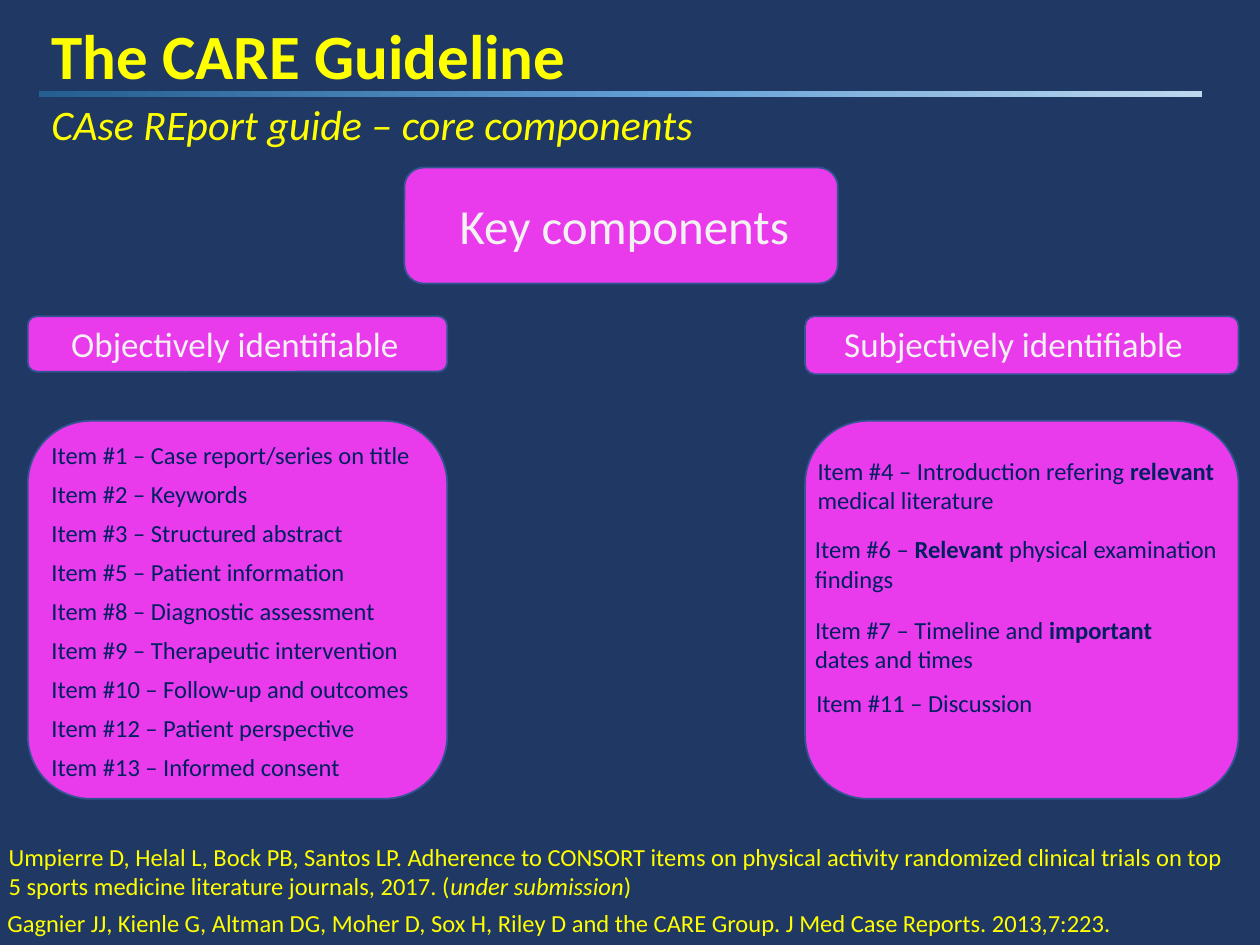
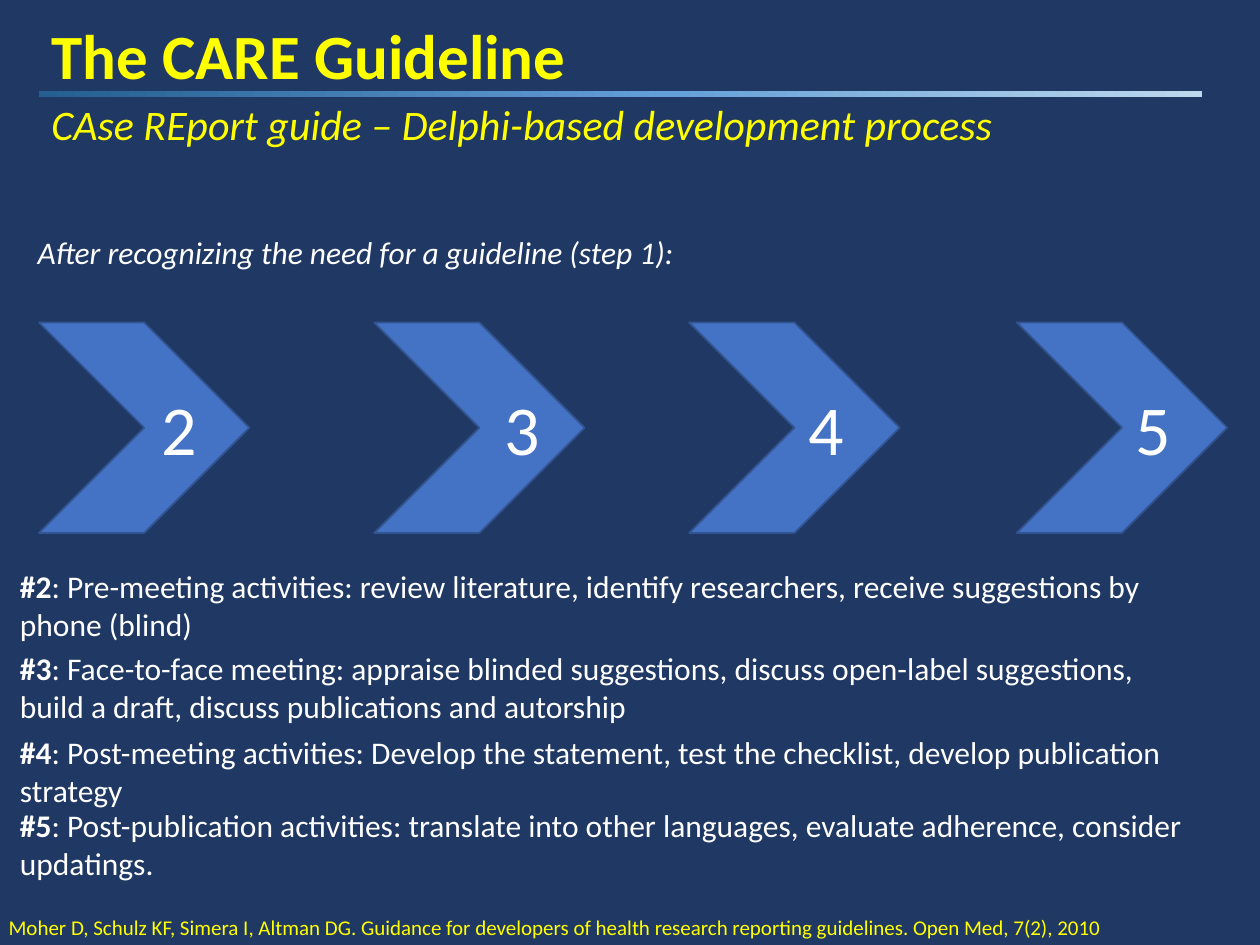
"""Build two slides on the CARE guideline for case reports."""
import copy
import dataclasses

import pptx
import pptx.dml.color
import pptx.enum.shapes
import pptx.enum.text
import pptx.oxml.ns
import pptx.util

Inches = pptx.util.Inches
Align = pptx.enum.text.PP_ALIGN
Anchor = pptx.enum.text.MSO_ANCHOR
Shapes = pptx.enum.shapes.MSO_SHAPE


@dataclasses.dataclass(frozen=True)
class Theme:
    font: str = "Calibri"
    background: str = "203864"
    heading: str = "FFFF00"
    light: str = "FFFFFF"
    label: str = "F2F2F2"
    item: str = "002060"
    panel: str = "E93AEC"
    chevron: str = "4472C4"
    outline: str = "325491"
    bar: tuple = ((0, "255E91"), (0.54, "63A0D7"), (1, "BDD7EE"))
    title_size: int = 36
    subtitle_size: int = 24
    key_size: int = 28
    label_size: int = 20
    body_size: int = 18
    small_size: int = 14
    source_size: int = 12
    number_size: int = 40


class Deck:
    def __init__(self, theme):
        self.theme = theme
        self.presentation = pptx.Presentation()
        self.presentation.slide_width = Inches(10)
        self.presentation.slide_height = Inches(7.5)
        self.slide = None

    @staticmethod
    def color(value):
        return pptx.dml.color.RGBColor.from_string(value)

    def add_runs(self, frame, runs, size, color, align=Align.LEFT):
        frame.word_wrap = True
        paragraph = frame.paragraphs[0]
        paragraph.alignment = align
        for text, emphasis in runs:
            run = paragraph.add_run()
            run.text = text
            run.font.name = self.theme.font
            run.font.size = pptx.util.Pt(size)
            run.font.color.rgb = self.color(color)
            run.font.bold = emphasis == "bold"
            run.font.italic = emphasis == "italic"

    def start_slide(self, title, subtitle):
        theme = self.theme
        layout = self.presentation.slide_layouts[5]
        self.slide = self.presentation.slides.add_slide(layout)
        fill = self.slide.background.fill
        fill.solid()
        fill.fore_color.rgb = self.color(theme.background)
        self.bar()
        heading = self.slide.shapes.title
        heading.left, heading.top = Inches(0.31), Inches(0.08)
        heading.width, heading.height = Inches(9.23), Inches(0.71)
        frame = heading.text_frame
        frame.auto_size = pptx.enum.text.MSO_AUTO_SIZE.NONE
        frame.vertical_anchor = Anchor.TOP
        self.add_runs(frame, [(title, "bold")], theme.title_size, theme.heading)
        self.text([(subtitle, "italic")], 0.31, 0.73, 9.23, 0.5,
                  theme.subtitle_size, theme.heading)

    def bar(self):
        shape = self.slide.shapes.add_shape(
            Shapes.RECTANGLE, Inches(0.31), Inches(0.72), Inches(9.23), Inches(0.05))
        shape.shadow.inherit = False
        shape.line.fill.background()
        shape.fill.gradient()
        shape.fill.gradient_angle = 0
        stops = shape.element.find(".//" + pptx.oxml.ns.qn("a:gsLst"))
        stops.append(copy.deepcopy(stops[0]))
        for stop, (position, color) in zip(shape.fill.gradient_stops, self.theme.bar):
            stop.position = position
            stop.color.rgb = self.color(color)

    def text(self, runs, left, top, width, height, size, color, align=Align.LEFT):
        box = self.slide.shapes.add_textbox(
            Inches(left), Inches(top), Inches(width), Inches(height))
        self.add_runs(box.text_frame, runs, size, color, align)

    def shape(self, kind, fill, left, top, width, height):
        shape = self.slide.shapes.add_shape(
            kind, Inches(left), Inches(top), Inches(width), Inches(height))
        shape.shadow.inherit = False
        shape.fill.solid()
        shape.fill.fore_color.rgb = self.color(fill)
        shape.line.color.rgb = self.color(self.theme.outline)
        shape.line.width = pptx.util.Pt(1)
        return shape

    def panel(self, left, top, width, height):
        self.shape(Shapes.ROUNDED_RECTANGLE, self.theme.panel, left, top, width, height)

    def label(self, text, left, top, width, height, size):
        self.text([(text, "")], left, top, width, height, size, self.theme.label,
                  Align.CENTER)

    def item(self, runs, left, top, width, height):
        self.text(runs, left, top, width, height, self.theme.small_size, self.theme.item)

    def chevron(self, number, left, shift):
        shape = self.shape(Shapes.CHEVRON, self.theme.chevron, left, 2.56, 1.67, 1.67)
        frame = shape.text_frame
        frame.vertical_anchor = Anchor.MIDDLE
        frame.margin_left = Inches(0.1 + 2 * shift)
        self.add_runs(frame, [(number, "")], self.theme.number_size, self.theme.light,
                      Align.CENTER)

    def source(self, runs, left, top, width, height, size):
        self.text(runs, left, top, width, height, size, self.theme.heading)


def build_components(deck):
    theme = deck.theme
    deck.start_slide("The CARE Guideline", "CAse REport guide – core components")
    deck.panel(3.21, 1.33, 3.44, 0.92)
    deck.label("Key components", 3.43, 1.5, 3.05, 0.57, theme.key_size)
    columns = [
        ("Objectively identifiable", 0.22, 3.33, 0.44, 0.3),
        ("Subjectively identifiable", 6.39, 3.44, 0.46, 6.48),
    ]
    for label, left, width, height, label_left in columns:
        deck.panel(left, 2.51, width, height)
        deck.label(label, label_left, 2.51, 3.13, 0.44, theme.label_size)
        deck.panel(left, 3.34, width, 3)

    objective_items = [
        "Item #1 – Case report/series on title",
        "Item #2 – Keywords",
        "Item #3 – Structured abstract",
        "Item #5 – Patient information",
        "Item #8 – Diagnostic assessment",
        "Item #9 – Therapeutic intervention",
        "Item #10 – Follow-up and outcomes",
        "Item #12 – Patient perspective",
        "Item #13 – Informed consent",
    ]
    for row, text in enumerate(objective_items):
        deck.item([(text, "")], 0.31, 3.44 + 0.31 * row, 3.2, 0.34)

    subjective_items = [
        (6.39, 3.57, 3.6, [("Item #4 – Introduction refering ", ""),
                           ("relevant", "bold"), (" medical literature", "")]),
        (6.37, 4.19, 3.6, [("Item #6 – ", ""), ("Relevant ", "bold"),
                           ("physical examination findings", "")]),
        (6.37, 4.83, 3.15, [("Item #7 – Timeline and ", ""),
                            ("important", "bold"), (" dates and times", "")]),
        (6.38, 5.41, 3.15, [("Item #11 – Discussion", "")]),
    ]
    for left, top, width, runs in subjective_items:
        deck.item(runs, left, top, width, 0.57)

    deck.source([
        ("Umpierre D, Helal L, Bock PB, Santos LP. Adherence to CONSORT items on "
         "physical activity randomized clinical trials on top 5 sports medicine "
         "literature journals, 2017. (", ""),
        ("under submission", "italic"), (")", "")],
        -0.03, 6.63, 9.88, 0.57, theme.small_size)
    deck.source([
        ("Gagnier JJ, Kienle G, Altman DG, Moher D, Sox H, Riley D and the CARE Group. "
         "J Med Case Reports. 2013,7:223.", "")],
        -0.04, 7.16, 9.88, 0.34, theme.small_size)


def build_process(deck):
    theme = deck.theme
    deck.start_slide("The CARE Guideline",
                     "CAse REport guide – Delphi-based development process")
    deck.text([("After recognizing the need for a guideline (step 1):", "italic")],
              0.2, 1.8, 6, 0.4, theme.body_size, theme.light)
    steps = [
        ("2", 0.31, 0.28, 4.45, "Pre-meeting activities: review literature, identify "
         "researchers, receive suggestions by phone (blind)"),
        ("3", 2.97, 0.34, 5.1, "Face-to-face meeting: appraise blinded suggestions, discuss "
         "open-label suggestions, build a draft, discuss publications and autorship"),
        ("4", 5.47, 0.25, 5.77, "Post-meeting activities: Develop the statement, test the "
         "checklist, develop publication strategy"),
        ("5", 8.07, 0.25, 6.35, "Post-publication activities: translate into other "
         "languages, evaluate adherence, consider updatings."),
    ]
    for number, left, shift, top, description in steps:
        deck.chevron(number, left, shift)
        deck.text([("#" + number, "bold"), (": " + description, "")],
                  0.06, top, 9.48, 0.71, theme.body_size, theme.light)
    deck.source([
        ("Moher D, Schulz KF, Simera I, Altman DG. Guidance for developers of health "
         "research reporting guidelines. Open Med, 7(2), 2010", "")],
        -0.03, 7.21, 10.03, 0.3, theme.source_size)


def main():
    deck = Deck(Theme())
    build_components(deck)
    build_process(deck)
    deck.presentation.save("out.pptx")


if __name__ == "__main__":
    main()
